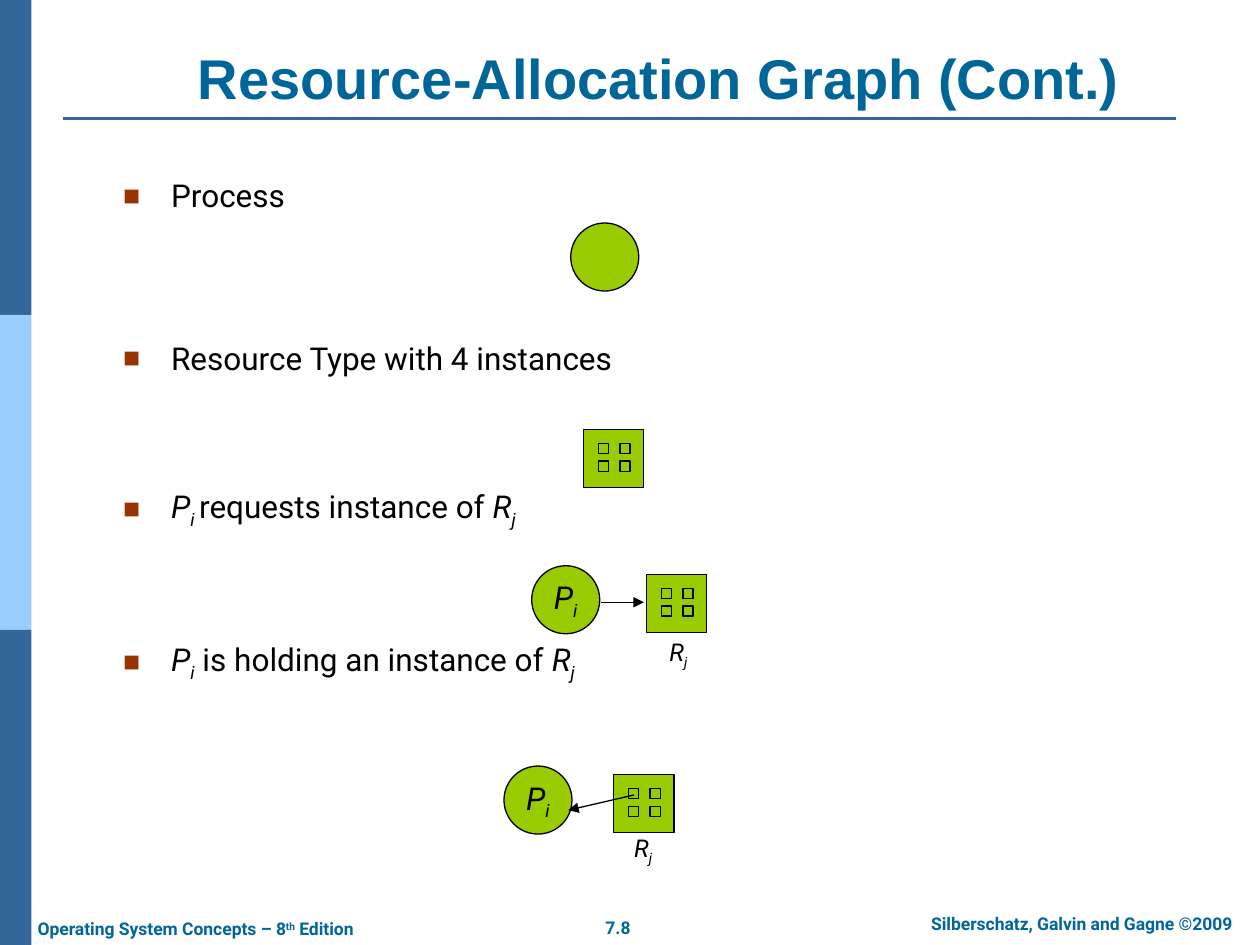
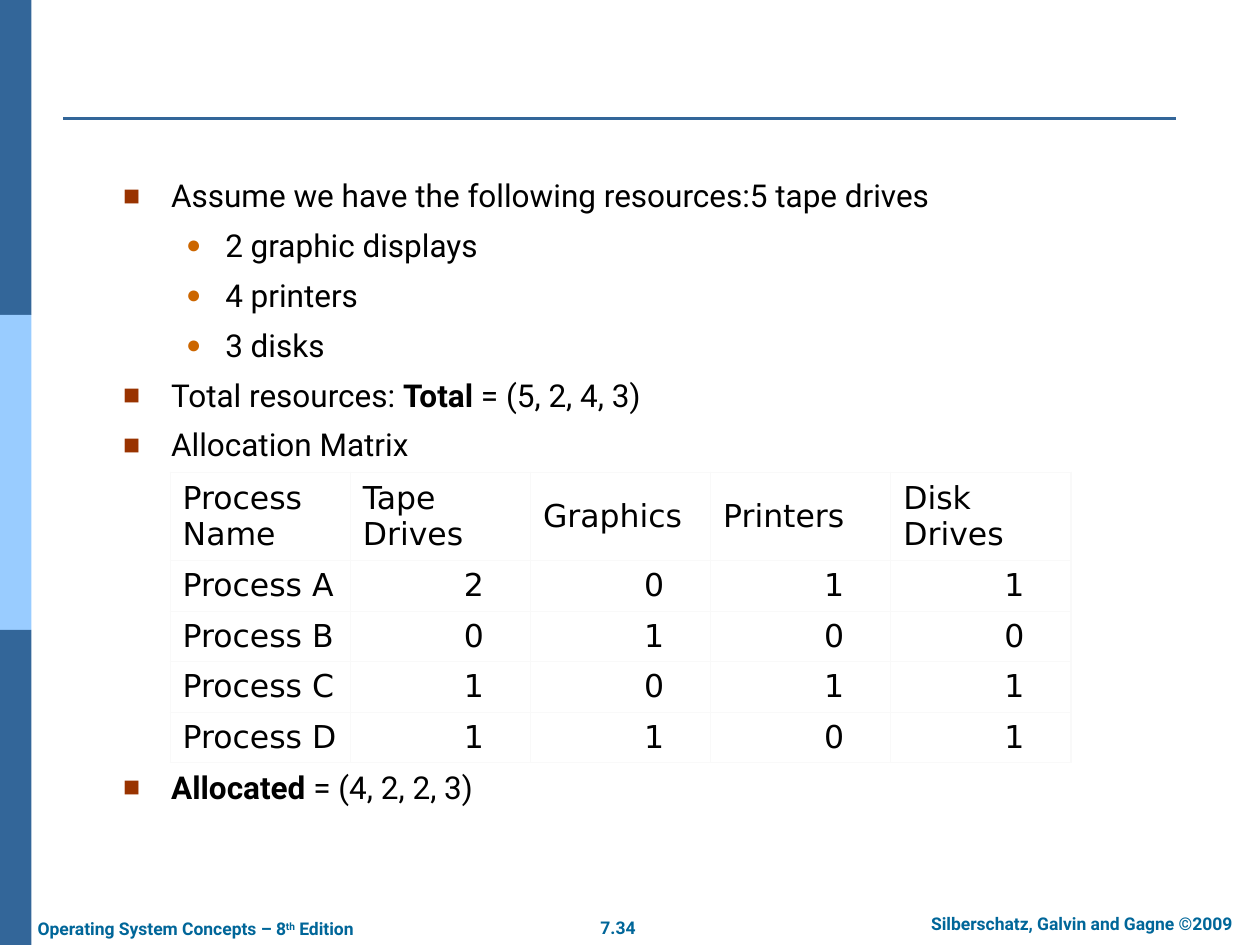
import pptx
import pptx.util
import pptx.dml.color
import pptx.enum.shapes
import pptx.enum.text
import pptx.oxml
import pptx.oxml.ns

Inches, Pt = pptx.util.Inches, pptx.util.Pt
RGB = pptx.dml.color.RGBColor.from_string
SHAPE = pptx.enum.shapes.MSO_SHAPE
ALIGN = pptx.enum.text.PP_ALIGN
ANCHOR = pptx.enum.text.MSO_ANCHOR
NS = pptx.oxml.ns.nsdecls("a")

HUE = {"band": "336699", "sky": "99CCFF", "head": "006699", "green": "99CC00",
       "ink": "000000", "rust": "993300", "amber": "CC6600", "grid": "F9F9F9"}
LOOK = {
    "title": {"name": "Arial", "size": Pt(32), "bold": True, "hue": "head"},
    "foot": {"name": "Roboto", "size": Pt(10), "bold": True, "hue": "head"},
    "body": {"name": "Roboto", "size": Pt(18), "hue": "ink"},
    "label": {"name": "Roboto", "size": Pt(14), "hue": "ink"},
    "cell": {"name": "DejaVu Sans", "size": Pt(18), "hue": "ink"},
}
# level: left margin, hanging indent, sign, size in percent, colour
BULLET = [(0.38, -0.38, "■", 90, "rust"), (0.81, -0.31, "●", 80, "amber")]
SLANT = {"italic": True}
LOW = {"italic": True, "base": -25}
BOLD = {"bold": True}
PI = [("P", SLANT), ("i", LOW)]
RJ = [("R", SLANT), ("j", LOW)]
GAP = 6.85


def write(para, runs, look, align=ALIGN.LEFT):
    """Add (text, format) runs to a paragraph in one of the named looks."""
    para.alignment = align
    for text, extra in runs:
        run = para.add_run()
        run.text = text
        for key, value in {**LOOK[look], **extra}.items():
            if key == "hue":
                run.font.color.rgb = RGB(HUE[value])
            elif key == "base":
                run.font._element.set("baseline", str(value * 1000))
            else:
                setattr(run.font, key, value)


def draw(host, kind, x, y, w, h, fill, line=None):
    shape = host.shapes.add_shape(kind, Inches(x), Inches(y), Inches(w), Inches(h))
    shape.shadow.inherit = False
    shape.fill.solid()
    shape.fill.fore_color.rgb = RGB(HUE[fill])
    if line:
        shape.line.color.rgb = RGB(HUE[line])
        shape.line.width = Pt(0.75)
    else:
        shape.line.fill.background()
    return shape


deck = pptx.Presentation()
deck.slide_width, deck.slide_height = Inches(10), Inches(7.5)

# Each point: level, space before, runs
graph_points = [
    (0, 0, [("Process", {})]),
    (0, 71.5, [("Resource Type with 4 instances", {})]),
    (0, 62.8, [("P", SLANT), ("i ", LOW), ("requests instance of ", {}), *RJ]),
    (0, 62.8, [*PI, (" is holding an instance of ", {}), *RJ]),
]
matrix_points = [
    (0, 0, [("Assume we have the following resources:5 tape drives", {})]),
    (1, GAP, [("2 graphic displays", {})]),
    (1, GAP, [("4 printers", {})]),
    (1, GAP, [("3 disks", {})]),
    (0, GAP, [("Total resources: ", {}), ("Total", BOLD), (" = (5, 2, 4, 3)", {})]),
    (0, GAP, [("Allocation Matrix", {})]),
    (0, 174.3, [("Allocated", BOLD), (" = (4, 2, 2, 3)", {})]),
]

# Shared frame: side bands, rule, footers, title, bullet list
links = []  # connectors, finished at the end
for page, title, points in [("7.8", "Resource-Allocation Graph (Cont.)", graph_points),
                            ("7.34", None, matrix_points)]:
    slide = deck.slides.add_slide(deck.slide_layouts[6])
    for i, hue in enumerate(["band", "sky", "band"]):
        draw(slide, SHAPE.RECTANGLE, 0, 2.5 * i, 0.25, 2.5, hue)
    links.append((slide, 0.5, 0.94, 9.33, 0.94, "band", 1.5))

    edition = [("Operating System Concepts – 8", {}), ("th", {"base": 30}), (" Edition", {})]
    owner = [("Silberschatz, Galvin and Gagne ©2009", {})]
    boxes = [
        (4.66, 7.23, 0.49, 0.27, [(page, {})], "foot", ALIGN.CENTER, False),
        (7.1, 7.2, 2.97, 0.27, owner, "foot", ALIGN.CENTER, True),
        (0.2, 7.24, 2.88, 0.27, edition, "foot", ALIGN.LEFT, True),
    ]
    if title:
        boxes.append((0.96, 0.3, 8.54, 0.63, [(title, {})], "title", ALIGN.CENTER, True))
    for x, y, w, h, runs, look, align, wrap in boxes:
        frame = slide.shapes.add_textbox(Inches(x), Inches(y), Inches(w), Inches(h)).text_frame
        frame.word_wrap = wrap
        frame.vertical_anchor = ANCHOR.BOTTOM if look == "title" else ANCHOR.TOP
        write(frame.paragraphs[0], runs, look, align)

    body = slide.shapes.add_textbox(Inches(0.88), Inches(1.35), Inches(9), Inches(4.95)).text_frame
    body.word_wrap = True
    for i, (level, before, runs) in enumerate(points):
        para = body.add_paragraph() if i else body.paragraphs[0]
        left, hang, sign, size, hue = BULLET[level]
        props = para._p.get_or_add_pPr()
        props.set("marL", str(Inches(left)))
        props.set("indent", str(Inches(hang)))
        for xml in [f'<a:buClr {NS}><a:srgbClr val="{HUE[hue]}"/></a:buClr>',
                    f'<a:buSzPct {NS} val="{size * 1000}"/>',
                    f'<a:buFont {NS} typeface="Arial"/>',
                    f'<a:buChar {NS} char="{sign}"/>']:
            props.append(pptx.oxml.parse_xml(xml))
        para.level = level
        if before:
            para.space_before = Pt(before)
        write(para, runs, "body")

graph, matrix = deck.slides

# Processes
for x, y, named in [(4.53, 1.77, False), (4, 6.08, True), (4.22, 4.49, True)]:
    disc = draw(graph, SHAPE.OVAL, x, y, 0.54, 0.54, "green", "ink")
    if named:
        disc.text_frame.word_wrap = False
        disc.text_frame.vertical_anchor = ANCHOR.MIDDLE
        write(disc.text_frame.paragraphs[0], PI, "body", ALIGN.CENTER)

# Resources with four instances each
for x, y in [(4.63, 3.41), (5.13, 4.56), (4.87, 6.15)]:
    group = graph.shapes.add_group_shape()
    draw(group, SHAPE.RECTANGLE, x, y, 0.48, 0.46, "green", "ink")
    for i in range(4):
        draw(group, SHAPE.RECTANGLE, x + 0.12 + 0.17 * (i % 2), y + 0.11 + 0.14 * (i // 2),
             0.08, 0.08, "green", "ink")

for x, y in [(5.2, 5.02), (4.92, 6.58)]:
    frame = graph.shapes.add_textbox(Inches(x), Inches(y), Inches(0.37), Inches(0.33)).text_frame
    frame.word_wrap = False
    frame.vertical_anchor = ANCHOR.MIDDLE
    write(frame.paragraphs[0], RJ, "label", ALIGN.CENTER)

# Rules and arrows
links += [(graph, 4.77, 4.78, 5.11, 4.78, "ink", 0.75),
          (graph, 5.03, 6.31, 4.51, 6.43, "ink", 0.75)]
for slide, x1, y1, x2, y2, hue, width in links:
    link = slide.shapes.add_connector(pptx.enum.shapes.MSO_CONNECTOR.STRAIGHT,
                                      Inches(x1), Inches(y1), Inches(x2), Inches(y2))
    link.line.color.rgb = RGB(HUE[hue])
    link.line.width = Pt(width)
    if hue == "ink":
        link.line._get_or_add_ln().append(pptx.oxml.parse_xml(f'<a:tailEnd {NS} type="triangle"/>'))
    link._element.spPr.append(pptx.oxml.parse_xml(f"<a:effectLst {NS}/>"))

# Allocation table
rows = [
    ["Process Name", "Tape Drives", "Graphics", "Printers", "Disk Drives"],
    ["Process A", "2", "0", "1", "1"],
    ["Process B", "0", "1", "0", "0"],
    ["Process C", "1", "0", "1", "1"],
    ["Process D", "1", "1", "0", "1"],
]
table = matrix.shapes.add_table(5, 5, Inches(1.35), Inches(3.75), Inches(7.15), Inches(2.24)).table
table.first_row = table.horz_banding = False
for r, row in enumerate(rows):
    table.rows[r].height = Inches(0.39 if r else 0.68)
    for c, text in enumerate(row):
        cell = table.cell(r, c)
        cell.vertical_anchor = ANCHOR.MIDDLE
        props = cell._tc.get_or_add_tcPr()
        for side in "LRTB":
            props.append(pptx.oxml.parse_xml(
                f'<a:ln{side} {NS} w="{Pt(0.75)}"><a:solidFill><a:srgbClr val="{HUE["grid"]}"/>'
                f"</a:solidFill></a:ln{side}>"))
        cell.fill.background()
        count = r and c
        if count:
            cell.margin_right = Inches(0.37)
        write(cell.text_frame.paragraphs[0], [(text, {})], "cell",
              ALIGN.RIGHT if count else ALIGN.LEFT)

deck.save("out.pptx")
